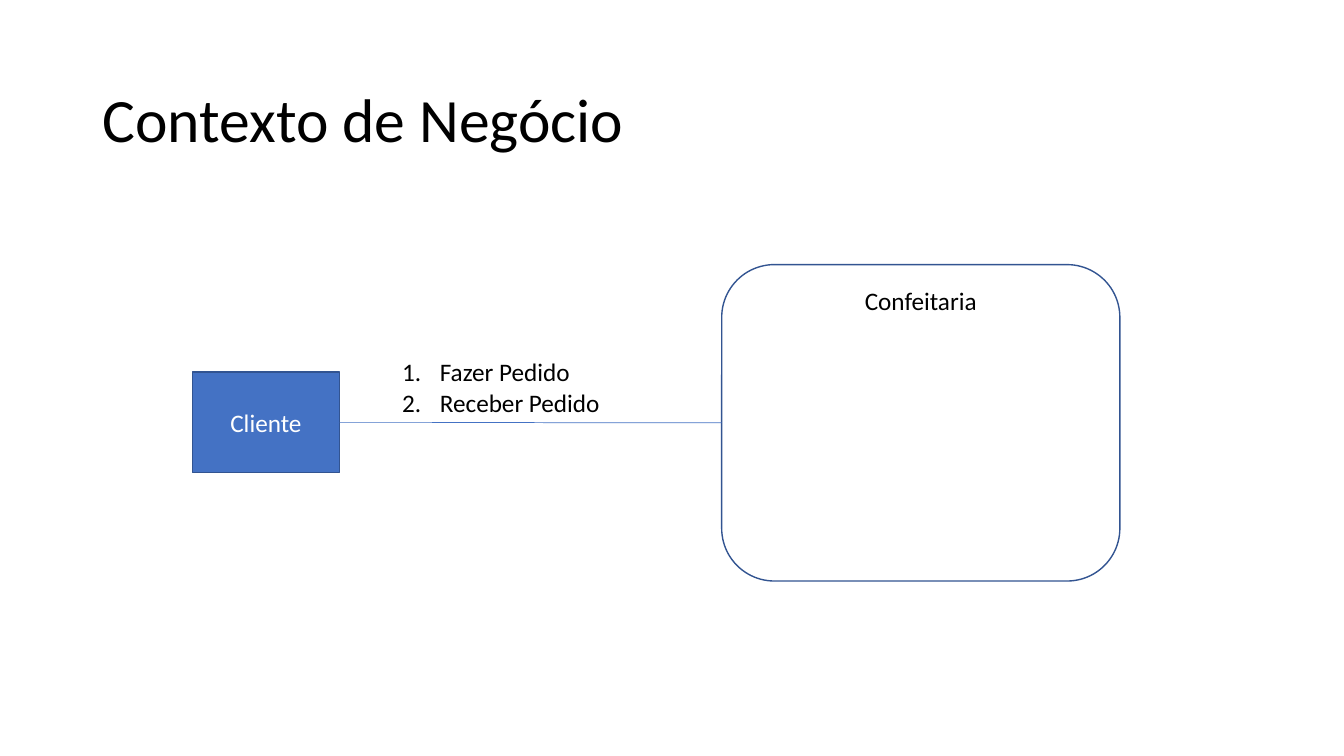
from lxml import etree
from pptx import Presentation
from pptx.dml.color import RGBColor
from pptx.enum.shapes import MSO_CONNECTOR, MSO_SHAPE
from pptx.enum.text import MSO_ANCHOR, MSO_AUTO_SIZE, PP_ALIGN
from pptx.oxml.ns import qn
from pptx.util import Pt

RECT, ROUND = MSO_SHAPE.RECTANGLE, MSO_SHAPE.ROUNDED_RECTANGLE
CURVE = MSO_CONNECTOR.CURVE
LEFT, CENTER = PP_ALIGN.LEFT, PP_ALIGN.CENTER
TOP, MIDDLE = MSO_ANCHOR.TOP, MSO_ANCHOR.MIDDLE
GROW = MSO_AUTO_SIZE.SHAPE_TO_FIT_TEXT
LEFT_SITE, RIGHT_SITE = 1, 3
COLORS = {"blue": "4472C4", "outline": "325491", "black": "000000", "white": "FFFFFF"}


class Deck:
    """Holds the slide style and adds each kind of element."""

    def __init__(self, prs, font="Calibri", size=18):
        self.s = prs.slides.add_slide(prs.slide_layouts[5])
        self.font, self.size = font, size

    def color(self, name):
        return RGBColor.from_string(COLORS[name])

    def format(self, tf, color="black", size=None, align=LEFT, anchor=TOP):
        tf.vertical_anchor = anchor
        for p in tf.paragraphs:
            p.alignment = align
            for r in p.runs:
                r.font.name = self.font
                r.font.size = Pt(size or self.size)
                r.font.color.rgb = self.color(color)

    def title(self, text, x, y, w, h):
        sp = self.s.shapes.title
        sp.left, sp.top, sp.width, sp.height = Pt(x), Pt(y), Pt(w), Pt(h)
        tf = sp.text_frame
        tf.text = text
        tf.paragraphs[0].line_spacing = 0.9
        self.format(tf, size=44, anchor=MIDDLE)

    def box(self, kind, text, x, y, w, h, fill=None, color="black", anchor=TOP):
        sp = self.s.shapes.add_shape(kind, Pt(x), Pt(y), Pt(w), Pt(h))
        sp.shadow.inherit = False
        if fill:
            sp.fill.solid()
            sp.fill.fore_color.rgb = self.color(fill)
        else:
            sp.fill.background()
        sp.line.color.rgb = self.color("outline")
        sp.line.width = Pt(1)
        sp.text_frame.text = text
        self.format(sp.text_frame, color, align=CENTER, anchor=anchor)
        return sp

    def link(self, start, end):
        cn = self.s.shapes.add_connector(CURVE, 0, 0, 0, 0)
        cn.begin_connect(start, RIGHT_SITE)
        cn.end_connect(end, LEFT_SITE)
        cn.line.color.rgb = self.color("blue")
        cn.line.width = Pt(0.5)
        etree.SubElement(cn._element.spPr, qn("a:effectLst"))

    def numbered(self, items, x, y, w, h, indent=27):
        tf = self.s.shapes.add_textbox(Pt(x), Pt(y), Pt(w), Pt(h)).text_frame
        tf.text = "\n".join(items)
        tf.word_wrap = False
        tf.auto_size = GROW
        self.format(tf)
        for p in tf.paragraphs:
            pPr = p._p.get_or_add_pPr()
            pPr.set("marL", str(Pt(indent)))
            pPr.set("indent", str(-Pt(indent)))
            etree.SubElement(pPr, qn("a:buFont"), typeface="+mj-lt")
            etree.SubElement(pPr, qn("a:buAutoNum"), type="arabicPeriod")


prs = Presentation()
prs.slide_width, prs.slide_height = Pt(960), Pt(540)
deck = Deck(prs)
deck.title("Contexto de Negócio", 66, 35.3, 828, 104.4)
client = deck.box(RECT, "Cliente", 137.5, 265.7, 105, 72, "blue", "white", MIDDLE)
bakery = deck.box(ROUND, "Confeitaria", 515.5, 189, 284.4, 226)
deck.link(client, bakery)
deck.numbered(["Fazer Pedido", "Receber Pedido"], 280.1, 251.3, 157.7, 51)
prs.save("out.pptx")
